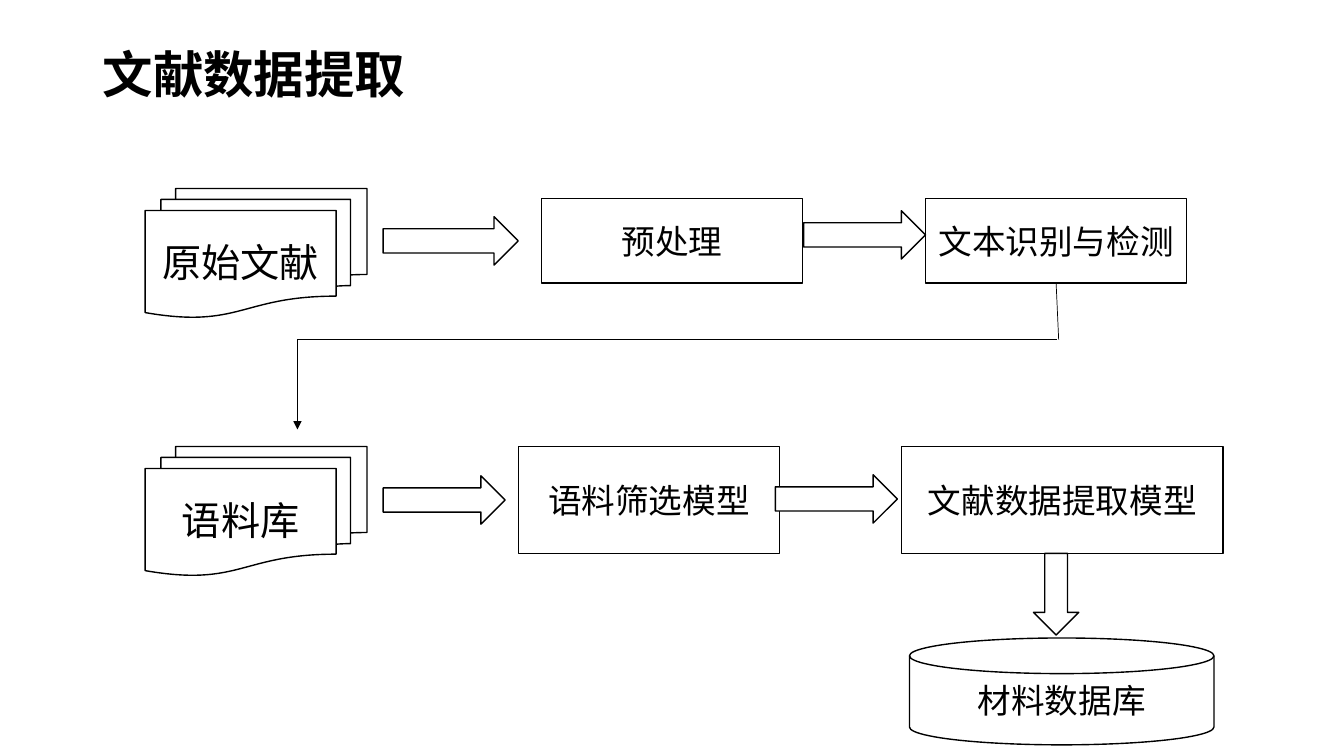
from lxml.etree import SubElement
from pptx import Presentation
from pptx.dml.color import RGBColor
from pptx.enum.shapes import MSO_CONNECTOR, MSO_SHAPE
from pptx.enum.text import MSO_ANCHOR, PP_ALIGN
from pptx.oxml.ns import qn
from pptx.util import Inches, Pt


def color(code):
    return RGBColor.from_string(code)


def write(frame, text, size=24, bold=False, align=PP_ALIGN.CENTER,
          space=1.0, font="Calibri", ink="000000"):
    frame.word_wrap = True
    frame.vertical_anchor = MSO_ANCHOR.MIDDLE
    para = frame.paragraphs[0]
    para.alignment = align
    para.line_spacing = space
    run = para.add_run()
    run.text = text
    run.font.size = Pt(size)
    run.font.bold = bold
    run.font.name = font
    run.font.color.rgb = color(ink)


class Chart:
    ink = "000000"
    fill = "FFFFFF"

    def __init__(self, slide):
        self.slide = slide

    def title(self, text, *area):
        box = self.slide.shapes.add_textbox(*map(Inches, area))
        write(box.text_frame, text, size=36, bold=True,
              align=PP_ALIGN.LEFT, space=0.9)

    def node(self, kind, area, text="", size=24):
        shape = self.slide.shapes.add_shape(kind, *map(Inches, area))
        shape.shadow.inherit = False
        shape.fill.solid()
        shape.fill.fore_color.rgb = color(self.fill)
        shape.line.color.rgb = color(self.ink)
        shape.line.width = Pt(1)
        if text:
            write(shape.text_frame, text, size=size)
        return shape

    def box(self, text, *area):
        return self.node(MSO_SHAPE.RECTANGLE, area, text)

    def stack(self, text, left, top):
        return self.node(MSO_SHAPE.FLOWCHART_MULTIDOCUMENT,
                         (left, top, 2.2, 1.28), text, size=28)

    def arrow(self, left, top, width=1.21):
        return self.node(MSO_SHAPE.RIGHT_ARROW, (left, top, width, 0.48))

    def line(self, start, end, head=False):
        link = self.slide.shapes.add_connector(
            MSO_CONNECTOR.STRAIGHT, *map(Inches, start + end))
        link.line.color.rgb = color(self.ink)
        link.line.width = Pt(0.5)
        if head:
            SubElement(link.line._get_or_add_ln(), qn("a:tailEnd"), type="triangle")
        SubElement(link._element.spPr, qn("a:effectLst"))
        return link


def main():
    deck = Presentation()
    deck.slide_width = Inches(13.33)
    deck.slide_height = Inches(7.5)
    chart = Chart(deck.slides.add_slide(deck.slide_layouts[6]))
    chart.title("文献数据提取", 0.92, 0.4, 11.5, 0.74)

    # Lower row: corpus to database
    chart.stack("语料库", 1.44, 4.43)
    chart.box("语料筛选模型", 5.14, 4.43, 2.59, 1.06)
    chart.box("文献数据提取模型", 8.94, 4.43, 3.19, 1.06)
    chart.node(MSO_SHAPE.FLOWCHART_MAGNETIC_DISK,
               (9.02, 6.33, 3.02, 1.06), "材料数据库")
    chart.arrow(3.8, 4.72)
    chart.arrow(7.69, 4.71)
    chart.node(MSO_SHAPE.DOWN_ARROW, (10.25, 5.49, 0.45, 0.81))

    # Upper row: papers to text detection
    chart.box("预处理", 5.37, 1.97, 2.59, 0.84)
    chart.stack("原始文献", 1.44, 1.87)
    detect = chart.box("文本识别与检测", 9.18, 1.97, 2.59, 0.84)
    chart.arrow(3.8, 2.15, 1.34)
    chart.arrow(7.97, 2.09)

    # Path from the upper row back to the corpus
    drop = chart.line((10.48, 2.81), (10.5, 3.37))
    drop.begin_connect(detect, 2)
    chart.line((10.48, 3.37), (2.95, 3.37))
    chart.line((2.95, 3.37), (2.95, 4.26), head=True)

    deck.save("out.pptx")


if __name__ == "__main__":
    main()
